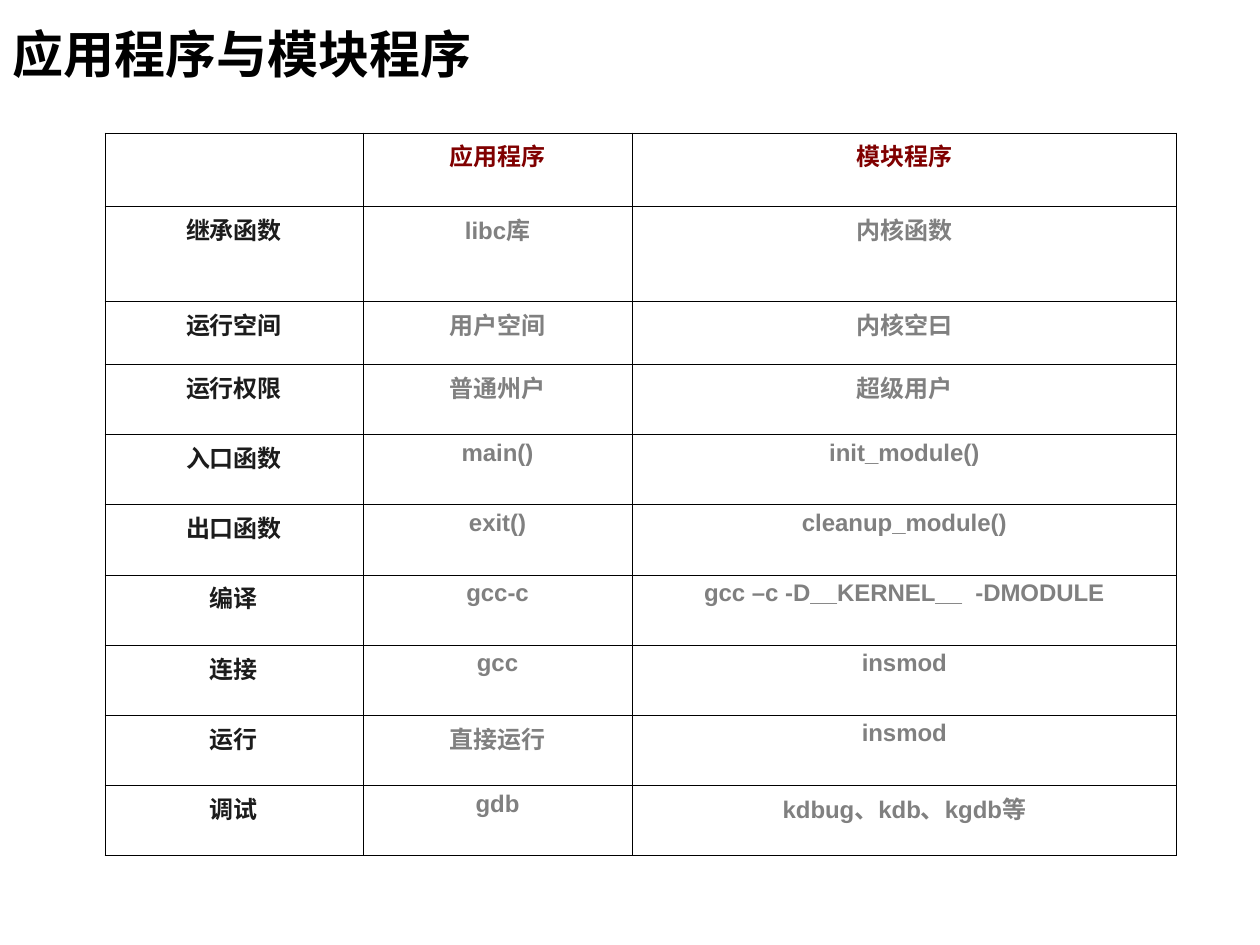
import pptx
import pptx.util
import pptx.dml.color
import pptx.enum.text
import pptx.oxml
import pptx.oxml.ns

WIDE, HIGH = pptx.util.Cm(29.62), pptx.util.Inches(8.75)
HUES = {"title": "000000", "head": "800000", "label": "1C1C1C",
        "value": "808080", "rule": "000000"}
HAN = "Noto Sans CJK SC"
COLS = (2.39, 2.49, 5.04)
ROWS = (0.68, 0.88, 0.59) + (0.65,) * 7
DATA = (
    ("", "应用程序", "模块程序"),
    ("继承函数", "libc库", "内核函数"),
    ("运行空间", "用户空间", "内核空曰"),
    ("运行权限", "普通州户", "超级用户"),
    ("入口函数", "main()", "init_module()"),
    ("出口函数", "exit()", "cleanup_module()"),
    ("编译", "gcc-c", "gcc –c -D__KERNEL__  -DMODULE"),
    ("连接", "gcc", "insmod"),
    ("运行", "直接运行", "insmod"),
    ("调试", "gdb", "kdbug、kdb、kgdb等"),
)
BODY = {"size": pptx.util.Pt(16), "bold": True}
FORMS = {
    "title": {"name": "Cabin", "size": pptx.util.Pt(34), "bold": True},
    "head": {"name": HAN, **BODY},
    "label": {"name": HAN, **BODY},
    "value": {"name": "Arial", **BODY},
}


def apply(item, form):
    for key, value in form.items():
        setattr(item, key, value)


def pad(side, edge):
    side, edge = pptx.util.Inches(side), pptx.util.Inches(edge)
    return {"margin_left": side, "margin_right": side,
            "margin_top": edge, "margin_bottom": edge}


def place(box):
    return [round(share * size)
            for share, size in zip(box, (WIDE, HIGH, WIDE, HIGH))]


def write(frame, text, role, align):
    line = frame.paragraphs[0]
    line.alignment = align
    run = line.add_run()
    run.text = text
    apply(run.font, FORMS[role])
    run.font.color.rgb = pptx.dml.color.RGBColor.from_string(HUES[role])
    east = pptx.oxml.parse_xml(
        f'<a:ea {pptx.oxml.ns.nsdecls("a")} typeface="{HAN}"/>')
    run.font._element.find(pptx.oxml.ns.qn("a:latin")).addnext(east)


def border(cell):
    props = cell._tc.get_or_add_tcPr()
    for spot, side in enumerate(("lnL", "lnR", "lnT", "lnB")):
        props.insert(spot, pptx.oxml.parse_xml(
            f'<a:{side} {pptx.oxml.ns.nsdecls("a")} w="{pptx.util.Pt(0.45)}">'
            f'<a:solidFill><a:srgbClr val="{HUES["rule"]}"/></a:solidFill>'
            f'</a:{side}>'))


def title(slide, box):
    frame = slide.shapes.add_textbox(*place(box)).text_frame
    apply(frame, {"word_wrap": True, **pad(0.12, 0.06),
                  "vertical_anchor": pptx.enum.text.MSO_ANCHOR.MIDDLE})
    write(frame, "应用程序与模块程序", "title", pptx.enum.text.PP_ALIGN.LEFT)


def grid(slide, box):
    left, top, width, height = place(box)
    table = slide.shapes.add_table(
        len(ROWS), len(COLS), left, top, width, height).table
    apply(table, {"first_row": False, "horz_banding": False})
    for col, share in zip(table.columns, COLS):
        col.width = round(width * share / sum(COLS))
    for row, share in zip(table.rows, ROWS):
        row.height = round(height * share / sum(ROWS))
    for r, texts in enumerate(DATA):
        for c, text in enumerate(texts):
            cell = table.cell(r, c)
            apply(cell, pad(0.12, 0.05))
            cell.fill.background()
            border(cell)
            role = "head" if r == 0 else "label" if c == 0 else "value"
            if text:
                write(cell.text_frame, text, role,
                      pptx.enum.text.PP_ALIGN.CENTER)


def main():
    deck = pptx.Presentation()
    deck.slide_width = WIDE
    deck.slide_height = HIGH
    deck.element.find(pptx.oxml.ns.qn("p:sldSz")).attrib.pop("type", None)
    slide = deck.slides.add_slide(deck.slide_layouts[6])
    wide, high = WIDE.inches, HIGH.inches
    title(slide, (0, 0, 9.91 / wide, 0.99 / high))
    grid(slide, (0.97 / wide, 1.23 / high, 9.92 / wide, 6.69 / high))
    deck.save("out.pptx")


if __name__ == "__main__":
    main()
